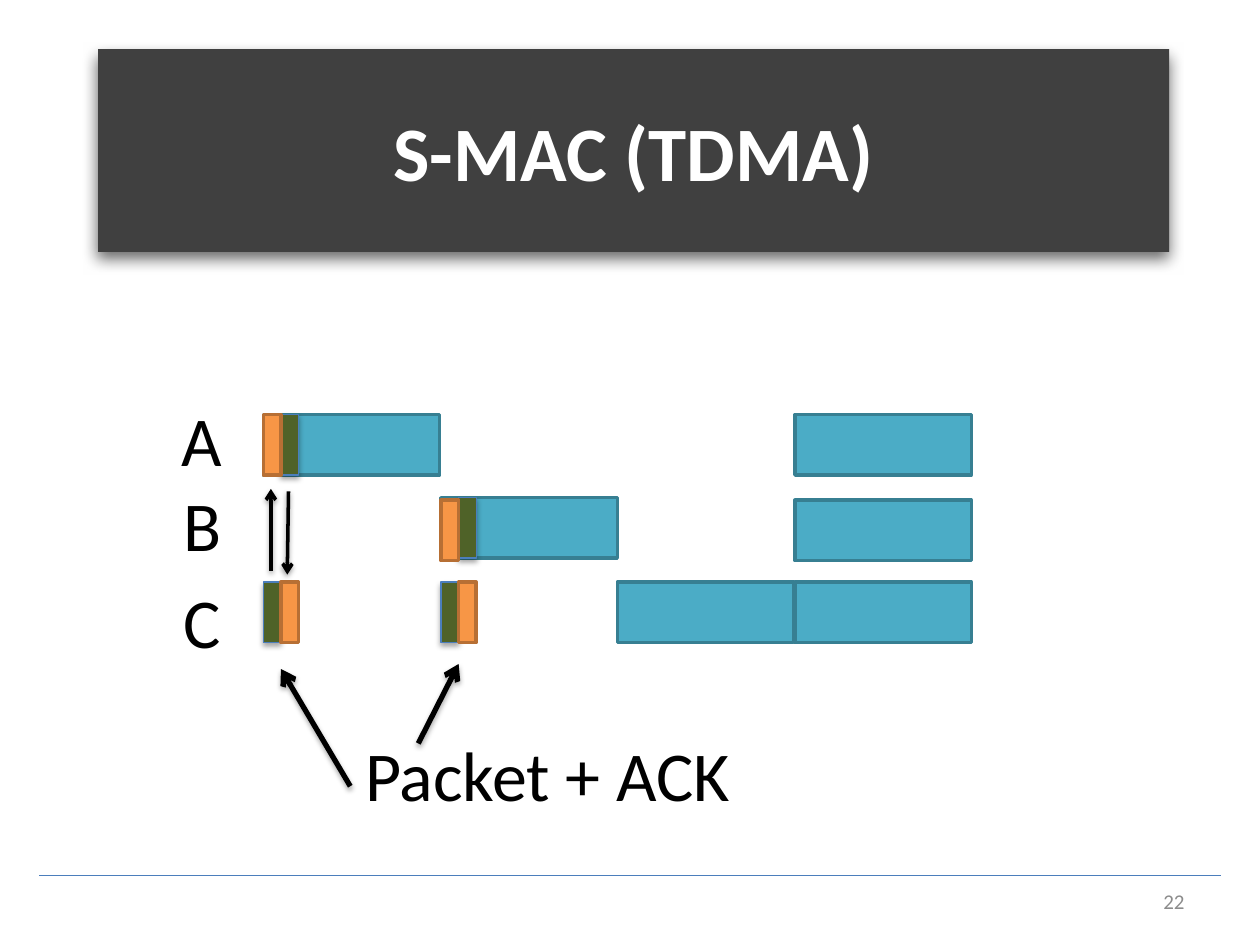
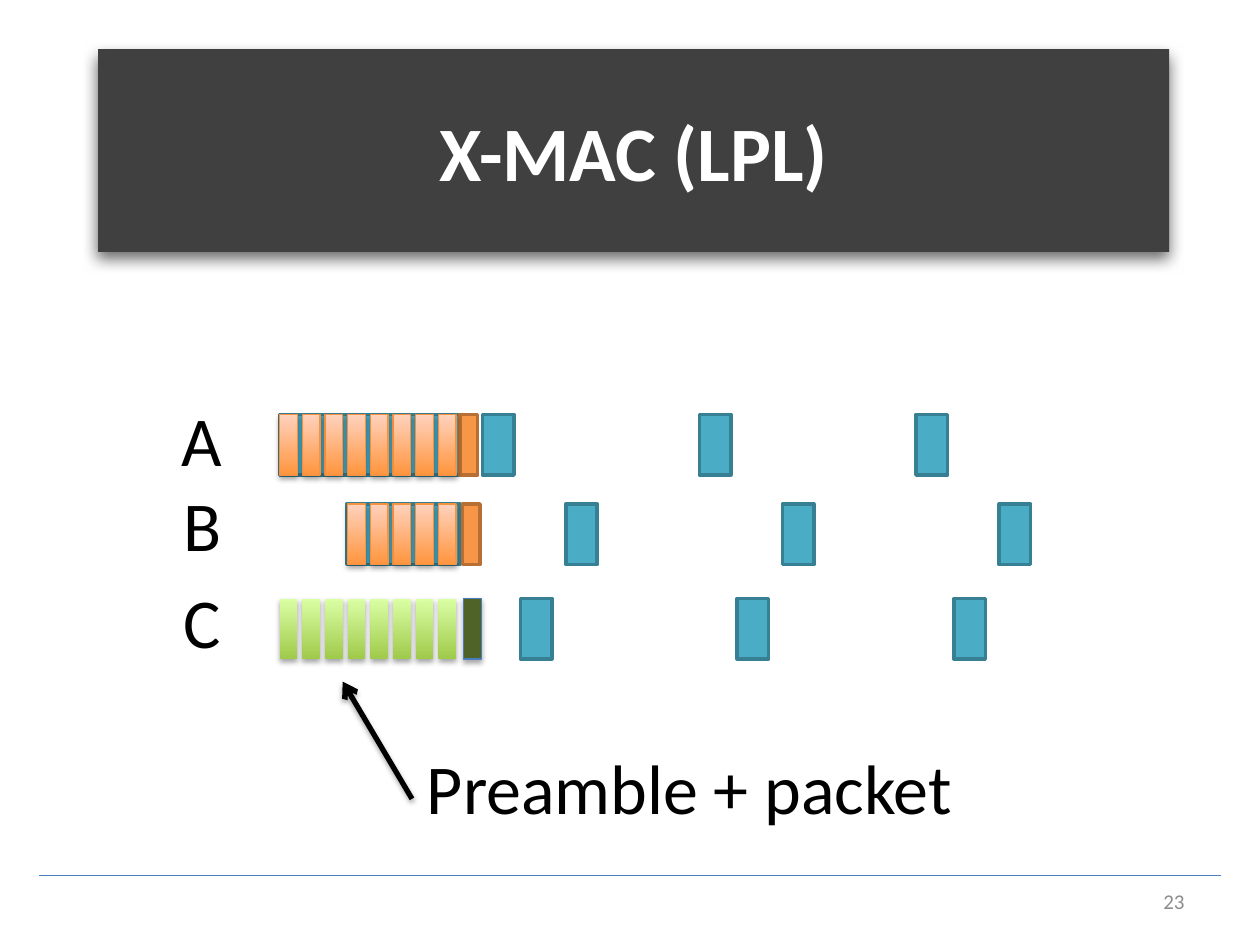
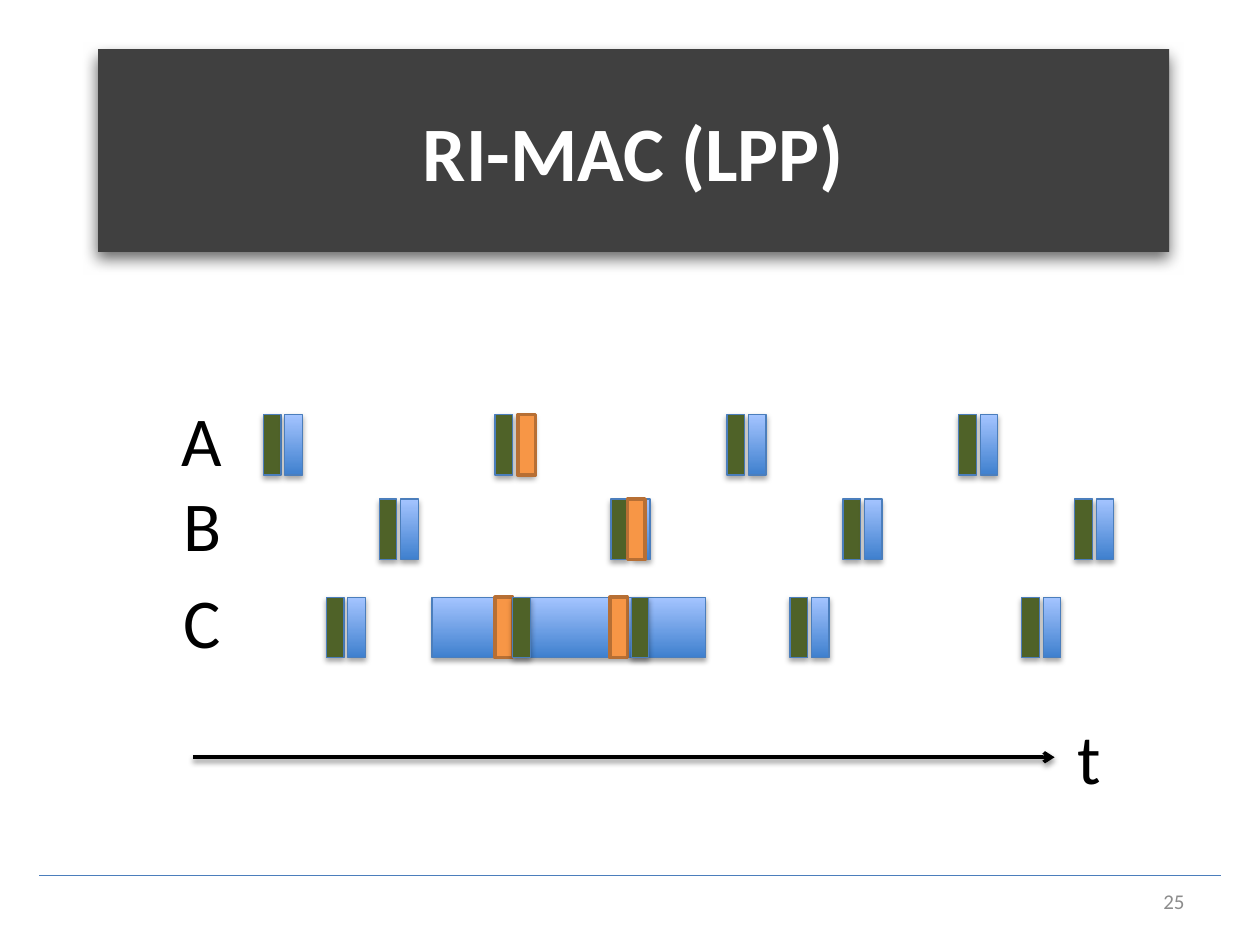
from dataclasses import dataclass
from typing import NamedTuple, Optional

from lxml import etree
from pptx import Presentation
from pptx.dml.color import RGBColor
from pptx.enum.shapes import MSO_CONNECTOR, MSO_SHAPE
from pptx.enum.text import MSO_ANCHOR, MSO_AUTO_SIZE, PP_ALIGN
from pptx.oxml.ns import qn
from pptx.util import Inches, Pt

RECT = MSO_SHAPE.RECTANGLE
STRAIGHT = MSO_CONNECTOR.STRAIGHT
TOP, MIDDLE = MSO_ANCHOR.TOP, MSO_ANCHOR.MIDDLE
LEFT, CENTER, RIGHT = PP_ALIGN.LEFT, PP_ALIGN.CENTER, PP_ALIGN.RIGHT
GROW, FIXED = MSO_AUTO_SIZE.SHAPE_TO_FIT_TEXT, MSO_AUTO_SIZE.NONE

FONT = "Calibri"
BLACK = RGBColor(0x00, 0x00, 0x00)
WHITE = RGBColor(0xFF, 0xFF, 0xFF)
CHARCOAL = RGBColor(0x40, 0x40, 0x40)
GREY = RGBColor(0x8C, 0x8C, 0x8C)
BLUE = RGBColor(0x4B, 0x7E, 0xBC)
DEEP_BLUE = RGBColor(0x3F, 0x80, 0xCE)
PALE_BLUE = RGBColor(0xA4, 0xC4, 0xFF)
TEAL = RGBColor(0x4B, 0xAC, 0xC6)
DARK_TEAL = RGBColor(0x37, 0x7F, 0x92)
GREEN = RGBColor(0x4F, 0x62, 0x28)
LIME = RGBColor(0xA0, 0xCA, 0x4A)
PALE_LIME = RGBColor(0xDA, 0xFF, 0xA5)
ORANGE = RGBColor(0xF7, 0x96, 0x46)
RUST = RGBColor(0xB7, 0x6F, 0x34)
AMBER = RGBColor(0xF6, 0x92, 0x40)
DEEP_PEACH = RGBColor(0xFF, 0x95, 0x3E)
PEACH = RGBColor(0xFF, 0xD2, 0xBD)


class Shade(NamedTuple):
    alpha: int
    blur: float
    dist: float
    angle: int


@dataclass(frozen=True)
class Skin:
    fill: RGBColor
    fade: Optional[RGBColor] = None
    edge: Optional[RGBColor] = None
    width: float = 0.75
    shade: Optional[Shade] = None


class Label(NamedTuple):
    text: str
    left: float
    top: float
    width: float


SOFT = Shade(35, 3.1, 1.8, 90)
THIN = Shade(38, 3.1, 1.6, 90)
TITLE = Skin(CHARCOAL, shade=Shade(58, 9, 4, 100))
AWAKE = Skin(TEAL, edge=DARK_TEAL, width=2)
SEND = Skin(GREEN, edge=BLUE, shade=SOFT)
GET = Skin(ORANGE, edge=RUST, width=2)
CALL = Skin(LIME, fade=PALE_LIME, shade=SOFT)
HEAR = Skin(DEEP_PEACH, fade=PEACH, edge=AMBER, shade=SOFT)
LISTEN = Skin(DEEP_BLUE, fade=PALE_BLUE, edge=BLUE, shade=SOFT)

NODES = (
    Label("A", 1.34, 3.1, 0.53),
    Label("B", 1.36, 3.77, 0.51),
    Label("C", 1.36, 4.54, 0.5),
)
ROW_A = 3.29
BAR_HIGH = 0.48
SLOT = 0.14


def add_shade(item, shade: Optional[Shade]) -> None:
    effect = etree.SubElement(item._element.spPr, qn("a:effectLst"))
    if shade is None:
        return
    outer = etree.SubElement(
        effect, qn("a:outerShdw"), blurRad=str(Pt(shade.blur)),
        dist=str(Pt(shade.dist)), dir=str(shade.angle * 60000), rotWithShape="0")
    tint = etree.SubElement(outer, qn("a:srgbClr"), val=str(BLACK))
    etree.SubElement(tint, qn("a:alpha"), val=str(shade.alpha * 1000))


def write(frame, text: str, *, size: float = 40, color: RGBColor = BLACK,
          bold: bool = False, align=LEFT, anchor=TOP, wrap: bool = True,
          fit=FIXED) -> None:
    frame.word_wrap = wrap
    frame.auto_size = fit
    frame.vertical_anchor = anchor
    line = frame.paragraphs[0]
    line.alignment = align
    run = line.add_run()
    run.text = text
    font = run.font
    font.name, font.size, font.bold = FONT, Pt(size), bold
    font.color.rgb = color


def add_label(slide, label: Label, high: float = 0.77, **style) -> None:
    box = slide.shapes.add_textbox(
        Inches(label.left), Inches(label.top), Inches(label.width), Inches(high))
    write(box.text_frame, label.text, **style)


def add_bar(slide, skin: Skin, left: float, top: float,
            width: float = SLOT, high: float = BAR_HIGH):
    bar = slide.shapes.add_shape(
        RECT, Inches(left), Inches(top), Inches(width), Inches(high))
    if skin.fade is None:
        bar.fill.solid()
        bar.fill.fore_color.rgb = skin.fill
    else:
        bar.fill.gradient()
        bar.fill.gradient_angle = 90
        for stop, color in zip(bar.fill.gradient_stops, (skin.fill, skin.fade)):
            stop.color.rgb = color
    if skin.edge is None:
        bar.line.fill.background()
    else:
        bar.line.color.rgb = skin.edge
        bar.line.width = Pt(skin.width)
    add_shade(bar, skin.shade)
    return bar


def add_line(slide, start: tuple[float, float], end: tuple[float, float], *,
             color: RGBColor = BLACK, width: float = 3,
             shade: Optional[Shade] = SOFT, arrow: bool = True) -> None:
    line = slide.shapes.add_connector(
        STRAIGHT, *(Inches(value) for value in start + end))
    line.line.color.rgb = color
    line.line.width = Pt(width)
    if arrow:
        etree.SubElement(line.line._get_or_add_ln(), qn("a:tailEnd"), type="arrow")
    add_shade(line, shade)


def add_frame(deck, title: str, number: int):
    slide = deck.slides.add_slide(deck.slide_layouts[6])
    band = add_bar(slide, TITLE, 0.78, 0.39, 8.5, 1.61)
    write(band.text_frame, title, size=44, color=WHITE, bold=True,
          align=CENTER, anchor=MIDDLE)
    add_label(slide, Label(str(number), 7.17, 6.95, 2.33), 0.4, size=12,
              color=GREY, align=RIGHT, anchor=MIDDLE)
    add_line(slide, (0.31, 6.95), (9.69, 6.95), color=BLUE, width=0.75,
             shade=None, arrow=False)
    for node in NODES:
        add_label(slide, node, wrap=False, fit=GROW)
    return slide


def add_smac(deck) -> None:
    slide = add_frame(deck, "S-MAC (TDMA)", 22)
    row_b, low_b, row_c = 3.95, 3.97, 4.62
    first, second, third, fourth = (2.09, 3.5, 4.9, 6.31)
    for left, top in ((first, ROW_A), (second, row_b), (third, row_c),
                      (fourth, low_b), (fourth, row_c), (fourth, ROW_A)):
        add_bar(slide, AWAKE, left, top, 1.4)
    for left, top, get_top in ((first, ROW_A, ROW_A), (second, row_b, low_b)):
        add_bar(slide, SEND, left, row_c)
        add_bar(slide, SEND, left + SLOT, top)
        add_bar(slide, GET, left, get_top)
        add_bar(slide, GET, left + SLOT, row_c)
    add_label(slide, Label("Packet + ACK", 2.8, 5.76, 5.73), fit=GROW)
    add_line(slide, (2.78, 6.24), (2.23, 5.31))
    add_line(slide, (3.32, 5.9), (3.64, 5.27))
    add_line(slide, (2.15, 4.53), (2.15, 3.88), width=2, shade=THIN)
    add_line(slide, (2.29, 3.9), (2.28, 4.56), width=2, shade=THIN)


def add_xmac(deck) -> None:
    slide = add_frame(deck, "X-MAC (LPL)", 23)
    row_b, row_c = 4, 4.75
    start, pitch, count = 2.22, 0.18, 8
    add_bar(slide, AWAKE, start, ROW_A, 1.43)
    add_bar(slide, AWAKE, 2.75, row_b, 0.9)
    for left, top in ((3.83, ROW_A), (4.49, row_b), (4.13, row_c)):
        for turn in range(3):
            add_bar(slide, AWAKE, left + 1.72 * turn, top, 0.25)
    add_bar(slide, SEND, 3.68, row_c)
    add_bar(slide, GET, 3.65, ROW_A)
    add_bar(slide, GET, 3.67, row_b)
    for skin, top, skip in ((CALL, row_c, 0), (HEAR, row_b, 3), (HEAR, ROW_A, 0)):
        for turn in reversed(range(skip, count)):
            add_bar(slide, skin, start + pitch * turn, top)
    add_label(slide, Label("Preamble + packet", 3.29, 5.86, 4.9), fit=GROW)
    add_line(slide, (3.27, 6.34), (2.72, 5.41))


def add_rimac(deck) -> None:
    slide = add_frame(deck, "RI-MAC (LPP)", 25)
    row_b, row_c = 3.96, 4.74
    add_line(slide, (1.53, 6.01), (8.37, 6.01), width=2, shade=THIN)
    add_label(slide, Label("t", 8.45, 5.62, 0.39), fit=GROW)
    for left, top, turns in ((2.09, ROW_A, range(4)), (3.01, row_b, range(4)),
                             (2.59, row_c, (0, 2, 3))):
        for turn in turns:
            place = left + 1.84 * turn
            add_bar(slide, SEND, place, top)
            add_bar(slide, LISTEN, place + 0.17, top)
    add_bar(slide, LISTEN, 3.43, row_c, 2.17)
    for skin, left, top in ((GET, 3.93, row_c), (GET, 4.84, row_c),
                            (SEND, 4.07, row_c), (SEND, 5.01, row_c),
                            (GET, 4.11, ROW_A), (GET, 4.98, row_b)):
        add_bar(slide, skin, left, top)


def main() -> None:
    deck = Presentation()
    deck.slide_width, deck.slide_height = Inches(10), Inches(7.5)
    for build in (add_smac, add_xmac, add_rimac):
        build(deck)
    deck.save("out.pptx")


if __name__ == "__main__":
    main()
